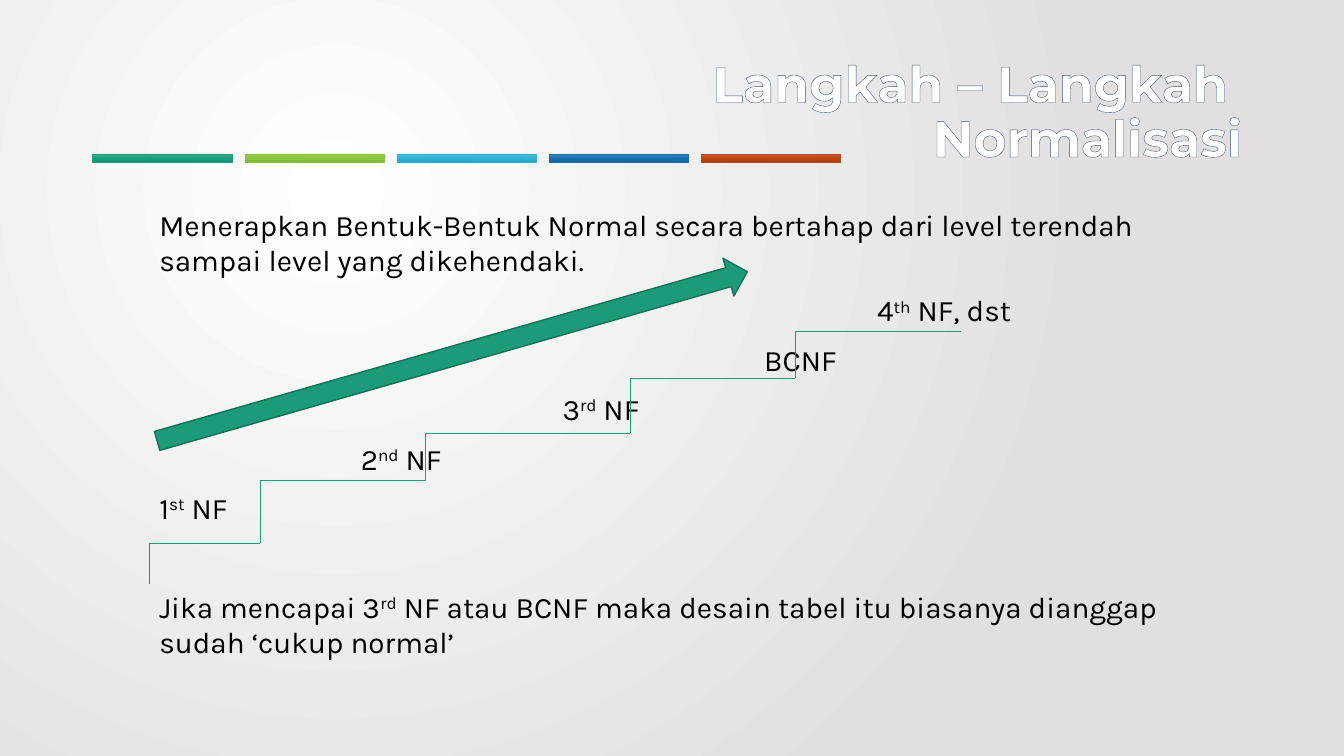
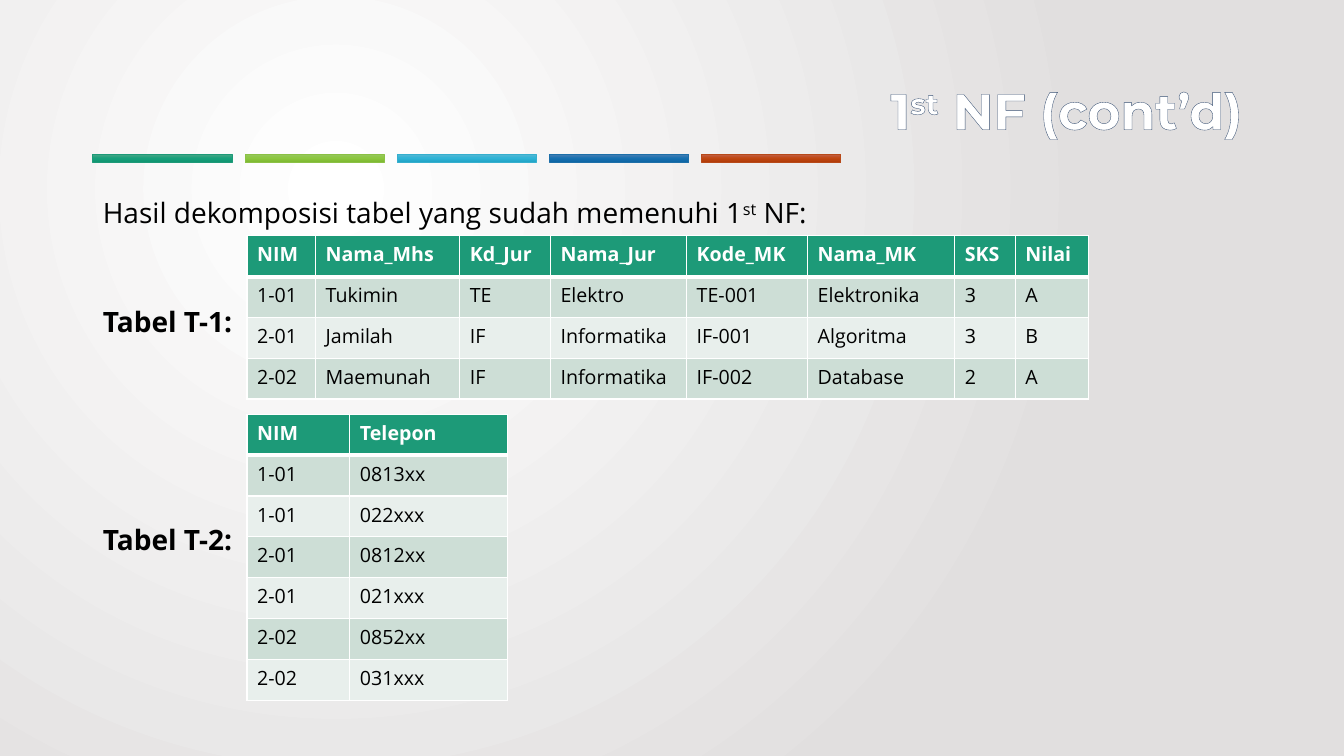
from dataclasses import dataclass
from itertools import pairwise

from lxml.etree import SubElement
from pptx import Presentation
from pptx.dml.color import RGBColor
from pptx.enum.shapes import MSO_CONNECTOR, MSO_SHAPE
from pptx.enum.text import MSO_ANCHOR as Anchor, PP_ALIGN as Align
from pptx.oxml.ns import qn
from pptx.slide import Slide
from pptx.table import _Cell as Cell
from pptx.util import Inches, Pt

GREEN, DARK_GREEN = "1D9A78", "157259"
BAND_DARK, BAND_LIGHT = "CDDED6", "E8EFEC"
WHITE, BLACK, TITLE_OUTLINE = "FFFFFF", "000000", "3A5274"
BACKGROUND = ["FFFFFF", "E1DFDF"]


@dataclass(frozen=True)
class Bar:
    gradient: list[str]
    line: str


@dataclass(frozen=True)
class TextStyle:
    font: str
    size: float
    color: str = BLACK
    bold: bool = False
    align: Align = Align.LEFT
    anchor: Anchor = Anchor.TOP
    line_spacing: float = 1.0
    outline: str | None = None


@dataclass(frozen=True)
class Label:
    text: str
    left: float
    top: float
    width: float
    style: TextStyle


@dataclass(frozen=True)
class Grid:
    top: float
    height: float
    columns: list[float]
    rows: list[list[str]]


BARS = [
    Bar(["4EA788", "17A07B", "0F9470"], "1D9A78"),
    Bar(["98C862", "8CC73F", "7DB831"], "8BC145"),
    Bar(["59B8D4", "2EB3D6", "21A4C6"], "36AFCE"),
    Bar(["4E80B5", "1670B0", "0D65A3"], "1D6FA9"),
    Bar(["C2634D", "BF4611", "B13B08"], "B74919"),
]
BAR_LEFT, BAR_STEP = 0.92, 1.51

TITLE = TextStyle("Montserrat", 36, WHITE, True, Align.RIGHT, Anchor.MIDDLE, 0.9, TITLE_OUTLINE)
KARLA = TextStyle("Karla", 21.2)
OPEN_SANS = TextStyle("Open Sans", 20)
OPEN_SANS_BOLD = TextStyle("Open Sans", 20, bold=True)
TABLE_HEAD = TextStyle("Open Sans", 14, WHITE, True)
TABLE_BODY = TextStyle("Open Sans", 14)

TEXT_LEFT, TEXT_WIDTH = 1.58, 10.5
STEP_TOP, STEP_PITCH = 2.9, 0.49
STEP_NAMES = [("4^th^ NF, dst", 8.7), ("BCNF", 7.58), ("3^rd^ NF", 5.58),
              ("2^nd^ NF", 3.58), ("1^st^ NF", 1.58)]
STAIRCASE = [(1.48, 5.79), (1.48, 5.39), (2.58, 5.39), (2.58, 4.77), (4.22, 4.77), (4.22, 4.3),
             (6.25, 4.3), (6.25, 3.75), (7.89, 3.75), (7.89, 3.29), (9.53, 3.29)]

TABLE_LEFT = 2.45
STUDENTS = Grid(2.34, 1.62, [0.68, 1.43, 0.9, 1.35, 1.2, 1.46, 0.6, 0.73], [
    ["NIM", "Nama_Mhs", "Kd_Jur", "Nama_Jur", "Kode_MK", "Nama_MK", "SKS", "Nilai"],
    ["1-01", "Tukimin", "TE", "Elektro", "TE-001", "Elektronika", "3", "A"],
    ["2-01", "Jamilah", "IF", "Informatika", "IF-001", "Algoritma", "3", "B"],
    ["2-02", "Maemunah", "IF", "Informatika", "IF-002", "Database", "2", "A"],
])
PHONES = Grid(4.11, 2.84, [1.02, 1.56], [
    ["NIM", "Telepon"],
    ["1-01", "0813xx"],
    ["1-01", "022xxx"],
    ["2-01", "0812xx"],
    ["2-01", "021xxx"],
    ["2-02", "0852xx"],
    ["2-02", "031xxx"],
])


def rgb(color: str) -> RGBColor:
    return RGBColor.from_string(color)


def add_solid(parent, color: str) -> None:
    SubElement(SubElement(parent, qn("a:solidFill")), qn("a:srgbClr"), val=color)


def set_stops(gradient, colors: list[str]) -> None:
    """Replace the stops of a gradient with evenly spaced colours."""
    stops = gradient.find(qn("a:gsLst"))
    for stop in list(stops):
        stops.remove(stop)
    for index, color in enumerate(colors):
        position = 100000 * index // (len(colors) - 1)
        stop = SubElement(stops, qn("a:gs"), pos=str(position))
        SubElement(stop, qn("a:srgbClr"), val=color)


def paint_background(master) -> None:
    master.background.fill.gradient()
    gradient = next(master.element.iter(qn("a:gradFill")))
    set_stops(gradient, BACKGROUND)
    gradient.remove(gradient.find(qn("a:lin")))
    circle = SubElement(gradient, qn("a:path"), path="circle")
    SubElement(circle, qn("a:fillToRect"), l="50000", t="50000", r="100000", b="100000")


def write(frame, text: str, style: TextStyle) -> None:
    """Fill the first paragraph; ^marks^ enclose superscripts."""
    para = frame.paragraphs[0]
    para.alignment = style.align
    para.line_spacing = style.line_spacing
    para.font.name = style.font
    para.font.size = Pt(style.size)
    para.font.bold = style.bold
    para.font.color.rgb = rgb(style.color)
    for line_index, line in enumerate(text.split("\n")):
        if line_index:
            para.add_line_break()
        for index, part in enumerate(line.split("^")):
            span = para.add_run()
            span.text = part
            properties = span._r.get_or_add_rPr()
            if index % 2:
                properties.set("baseline", "30000")
            if style.outline:
                outline = SubElement(properties, qn("a:ln"), w=str(Pt(1)))
                add_solid(outline, style.outline)


def add_label(page: Slide, label: Label, height: float = 0.4) -> None:
    box = page.shapes.add_textbox(Inches(label.left), Inches(label.top),
                                  Inches(label.width), Inches(height))
    frame = box.text_frame
    frame.word_wrap = True
    frame.vertical_anchor = label.style.anchor
    frame.margin_left = frame.margin_right = frame.margin_top = frame.margin_bottom = 0
    write(frame, label.text, label.style)


def add_page(deck, title: str) -> Slide:
    """Add a slide with the coloured bars and the title."""
    page = deck.slides.add_slide(deck.slide_layouts[6])
    for index, bar in enumerate(BARS):
        shape = page.shapes.add_shape(MSO_SHAPE.RECTANGLE, Inches(BAR_LEFT + index * BAR_STEP),
                                      Inches(1.53), Inches(1.38), Inches(0.08))
        shape.shadow.inherit = False
        shape.fill.gradient()
        shape.fill.gradient_angle = 270
        set_stops(shape.element.spPr.find(qn("a:gradFill")), bar.gradient)
        shape.line.color.rgb = rgb(bar.line)
        shape.line.width = Pt(0.5)
    add_label(page, Label(title, 1.02, 0.45, 11.3, TITLE), height=1.35)
    return page


def add_staircase(page: Slide) -> None:
    for start, end in pairwise(STAIRCASE):
        line = page.shapes.add_connector(MSO_CONNECTOR.STRAIGHT,
                                         *(Inches(value) for value in start + end))
        line.line.color.rgb = rgb(GREEN)
        line.line.width = Pt(0.5)
        SubElement(line.element.spPr, qn("a:effectLst"))


def add_rising_arrow(page: Slide) -> None:
    arrow = page.shapes.add_shape(MSO_SHAPE.RIGHT_ARROW, Inches(1.44), Inches(3.34),
                                  Inches(6.09), Inches(0.39))
    arrow.rotation = 344
    arrow.shadow.inherit = False
    arrow.fill.solid()
    arrow.fill.fore_color.rgb = rgb(GREEN)
    arrow.line.color.rgb = rgb(DARK_GREEN)
    arrow.line.width = Pt(1)


def set_borders(cell: Cell, row: int) -> None:
    """Draw white borders, thicker between the header and the first row."""
    properties = cell._tc.get_or_add_tcPr()
    for side in ("lnL", "lnR", "lnT", "lnB"):
        thick = (row, side) in ((0, "lnB"), (1, "lnT"))
        border = SubElement(properties, qn(f"a:{side}"), w=str(Pt(3 if thick else 1)))
        add_solid(border, WHITE)


def add_grid(page: Slide, grid: Grid) -> None:
    table = page.shapes.add_table(len(grid.rows), len(grid.columns), Inches(TABLE_LEFT),
                                  Inches(grid.top), Inches(sum(grid.columns)),
                                  Inches(grid.height)).table
    table.horz_banding = False
    for column, width in zip(table.columns, grid.columns):
        column.width = Inches(width)
    for row, texts in enumerate(grid.rows):
        fill = GREEN if row == 0 else BAND_DARK if row % 2 else BAND_LIGHT
        for column, text in enumerate(texts):
            cell = table.cell(row, column)
            set_borders(cell, row)
            cell.fill.solid()
            cell.fill.fore_color.rgb = rgb(fill)
            write(cell.text_frame, text, TABLE_BODY if row else TABLE_HEAD)


def build_steps(deck) -> None:
    page = add_page(deck, "Langkah – Langkah \nNormalisasi")
    intro = ("Menerapkan Bentuk-Bentuk Normal secara bertahap dari level terendah "
             "sampai level yang dikehendaki.")
    closing = ("Jika mencapai 3^rd^ NF atau BCNF maka desain tabel itu biasanya dianggap "
               "sudah ‘cukup normal’")
    add_label(page, Label(intro, TEXT_LEFT, 2.05, TEXT_WIDTH, KARLA), height=0.7)
    for index, (name, left) in enumerate(STEP_NAMES):
        add_label(page, Label(name, left, STEP_TOP + index * STEP_PITCH, 1.8, KARLA))
    add_label(page, Label(closing, TEXT_LEFT, 5.84, TEXT_WIDTH, KARLA), height=0.7)
    add_staircase(page)
    add_rising_arrow(page)


def build_first_form(deck) -> None:
    page = add_page(deck, "1^st^ NF (cont’d)")
    for label in (
        Label("Hasil dekomposisi tabel yang sudah memenuhi 1^st^ NF:", 1.02, 1.94, 11.3, OPEN_SANS),
        Label("Tabel T-1:", 1.02, 3.02, 1.4, OPEN_SANS_BOLD),
        Label("Tabel T-2:", 1.02, 5.18, 1.4, OPEN_SANS_BOLD),
    ):
        add_label(page, label)
    add_grid(page, STUDENTS)
    add_grid(page, PHONES)


def main() -> None:
    deck = Presentation()
    deck.slide_width, deck.slide_height = Inches(13.33), Inches(7.5)
    paint_background(deck.slide_master)
    build_steps(deck)
    build_first_form(deck)
    deck.save("out.pptx")


if __name__ == "__main__":
    main()
